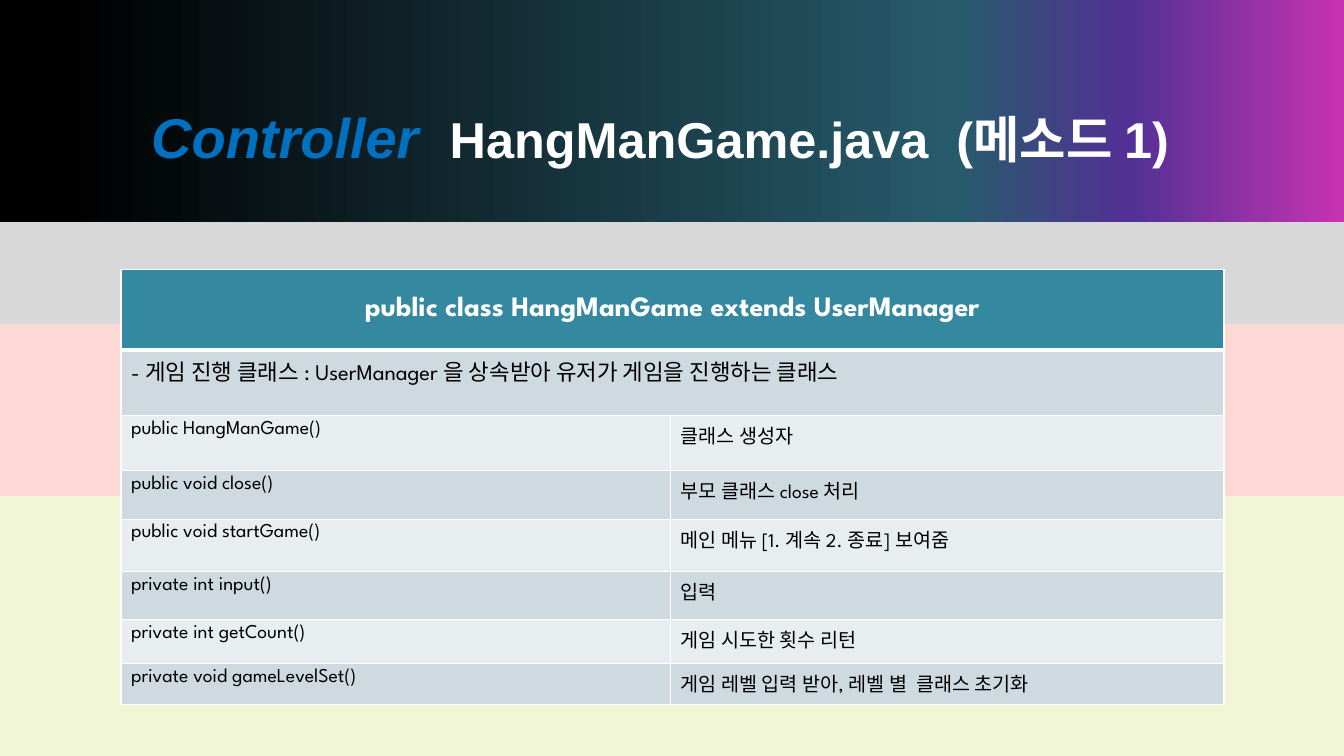
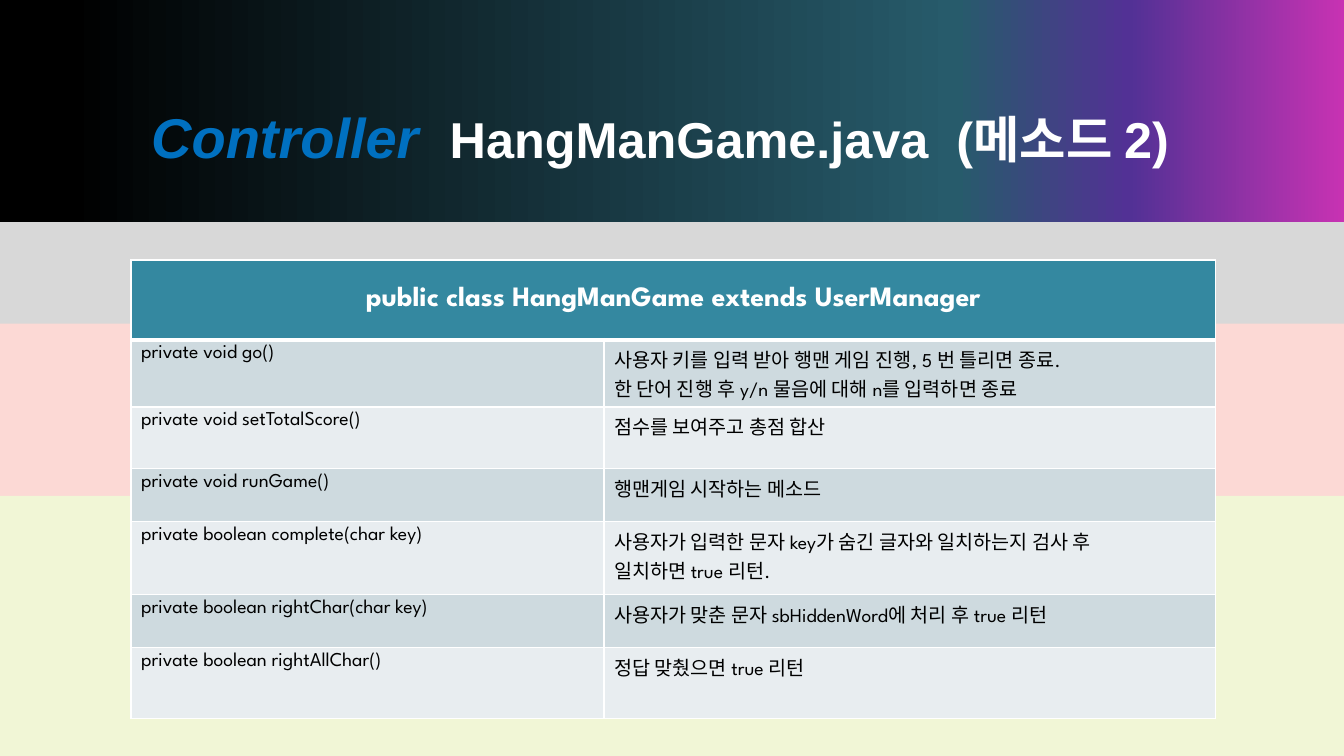
"""Build two slides that list the methods of the HangManGame controller class."""
from dataclasses import dataclass

from lxml.etree import SubElement
from pptx import Presentation
from pptx.dml.color import RGBColor
from pptx.enum.shapes import MSO_SHAPE
from pptx.enum.text import MSO_ANCHOR, MSO_AUTO_SIZE, PP_ALIGN
from pptx.oxml.ns import qn
from pptx.presentation import Presentation as Deck
from pptx.shapes.autoshape import Shape
from pptx.slide import Slide, SlideLayout
from pptx.table import _Cell
from pptx.util import Emu, Pt

PX = 9144
WIDTH, HEIGHT = 1333, 750
TITLE_FONT = "Arial"
TABLE_FONT = "League Spartan"
WHITE = RGBColor(0xFF, 0xFF, 0xFF)
BLACK = RGBColor(0x00, 0x00, 0x00)
BLUE = RGBColor(0x00, 0x70, 0xC0)
GRAY = RGBColor(0xBF, 0xBF, 0xBF)
PINK = RGBColor(0xFC, 0xD9, 0xD5)
LIME = RGBColor(0xF1, 0xF6, 0xD6)
TEAL = RGBColor(0x34, 0x88, 0xA0)
ROW_FILLS = (RGBColor(0xCE, 0xDA, 0xDF), RGBColor(0xE8, 0xED, 0xF0))
BANNER_STOPS = (
    (0, RGBColor(0xC8, 0x32, 0xB3)),
    (16, RGBColor(0x52, 0x31, 0x95)),
    (29, RGBColor(0x27, 0x5B, 0x6B)),
    (95, BLACK),
)
CLASS_HEADING = "public class HangManGame extends UserManager"


@dataclass(frozen=True)
class Box:
    """Position and size in px."""
    left: int
    top: int
    width: int
    height: int

    def emu(self) -> tuple[Emu, Emu, Emu, Emu]:
        """Return the four lengths in EMU."""
        return px(self.left), px(self.top), px(self.width), px(self.height)


@dataclass(frozen=True)
class Row:
    """A table row; a single text spans both columns."""
    height: int
    texts: tuple[str, ...]
    size: int = 14


@dataclass(frozen=True)
class MethodPage:
    """Content of one slide."""
    number: int
    left: int
    top: int
    columns: tuple[int, int]
    rows: tuple[Row, ...]


TITLE_BOX = Box(140, 64, 1054, 150)
BACKDROP = Box(0, 12, WIDTH, 741)
BANNER = Box(0, -3, WIDTH + 1, 223)
BODY_BANDS = ((Box(0, 321, WIDTH, 171), PINK), (Box(0, 492, WIDTH, 258), LIME))

PAGES = (
    MethodPage(1, 120, 267, (545, 549), (
        Row(80, (CLASS_HEADING,), 20),
        Row(65, ("- 게임 진행 클래스 : UserManager 을 상속받아 유저가 게임을 진행하는 클래스",), 16),
        Row(55, ("public HangManGame()", "클래스 생성자")),
        Row(48, ("public void close()", "부모 클래스 close 처리")),
        Row(52, ("public void startGame()", "메인 메뉴 [1. 계속 2. 종료] 보여줌")),
        Row(48, ("private int input()", "입력")),
        Row(43, ("private int getCount()", "게임 시도한 횟수 리턴")),
        Row(41, ("private void gameLevelSet()", "게임 레벨 입력 받아, 레벨 별  클래스 초기화")),
    )),
    MethodPage(2, 130, 258, (469, 607), (
        Row(79, (CLASS_HEADING,), 20),
        Row(61, ("private void go()",
                 "사용자 키를 입력 받아 행맨 게임 진행, 5 번 틀리면 종료.\n"
                 "한 단어 진행 후 y/n 물음에 대해 n를 입력하면 종료")),
        Row(61, ("private void setTotalScore()", "점수를 보여주고 총점 합산")),
        Row(53, ("private void runGame()", "행맨게임 시작하는 메소드")),
        Row(72, ("private boolean complete(char key)",
                 "사용자가 입력한 문자 key가 숨긴 글자와 일치하는지 검사 후\n"
                 "일치하면 true 리턴.")),
        Row(53, ("private boolean rightChar(char key)",
                 "사용자가 맞춘 문자 sbHiddenWord에 처리 후 true 리턴")),
        Row(70, ("private boolean rightAllChar()", "정답 맞췄으면 true 리턴")),
    )),
)


def px(length: int) -> Emu:
    """Turn px into EMU."""
    return Emu(length * PX)


def add_band(slide: Slide, box: Box, color: RGBColor) -> Shape:
    """Draw a plain borderless rectangle."""
    band = slide.shapes.add_shape(MSO_SHAPE.RECTANGLE, *box.emu())
    band.shadow.inherit = False
    band.line.fill.background()
    band.fill.solid()
    band.fill.fore_color.rgb = color
    return band


def set_gradient(band: Shape) -> None:
    """Fill a band with the banner gradient, running from right to left."""
    band.fill.gradient()
    band.fill.gradient_angle = 180
    stops = band._element.spPr.find(".//" + qn("a:gsLst"))
    stops.clear()
    for percent, color in BANNER_STOPS:
        stop = SubElement(stops, qn("a:gs"), pos=str(percent * 1000))
        SubElement(stop, qn("a:srgbClr"), val=str(color))


def style_layout(layout: SlideLayout, slide: Slide) -> None:
    """Move the title placeholder and give the layout its backdrop and banner."""
    title = next(p for p in layout.placeholders if p.placeholder_format.idx == 0)
    title.left, title.top, title.width, title.height = TITLE_BOX.emu()
    backdrop = add_band(slide, BACKDROP, GRAY)
    gray = backdrop._element.spPr.find(".//" + qn("a:srgbClr"))
    SubElement(gray, qn("a:alpha"), val="60000")
    banner = add_band(slide, BANNER, BLACK)
    set_gradient(banner)
    for band in (backdrop, banner):
        layout.shapes._spTree.append(band._element)


def write_title(slide: Slide, number: int) -> None:
    """Write the two-tone title."""
    frame = slide.shapes.title.text_frame
    frame.auto_size = MSO_AUTO_SIZE.NONE
    frame.vertical_anchor = MSO_ANCHOR.MIDDLE
    frame.word_wrap = True
    paragraph = frame.paragraphs[0]
    paragraph.alignment = PP_ALIGN.LEFT
    paragraph.line_spacing = 0.9
    parts = (("Controller  ", 40, BLUE, True),
             (f"HangManGame.java  (메소드 {number})", 36, WHITE, False))
    for text, size, color, italic in parts:
        run = paragraph.add_run()
        run.text = text
        run.font.name = TITLE_FONT
        run.font.size = Pt(size)
        run.font.bold = True
        run.font.italic = italic
        run.font.color.rgb = color


def set_borders(cell: _Cell, top: int, bottom: int) -> None:
    """Give a cell white borders with the given top and bottom widths in points."""
    properties = cell._tc.get_or_add_tcPr()
    for side, width in (("L", 1), ("R", 1), ("T", top), ("B", bottom)):
        line = SubElement(properties, qn(f"a:ln{side}"), w=str(Pt(width)))
        fill = SubElement(line, qn("a:solidFill"))
        SubElement(fill, qn("a:srgbClr"), val=str(WHITE))


def write_cell(cell: _Cell, text: str, size: int, is_heading: bool) -> None:
    """Write and format the text of a cell."""
    cell.text_frame.text = text
    if is_heading:
        cell.vertical_anchor = MSO_ANCHOR.MIDDLE
    for paragraph in cell.text_frame.paragraphs:
        paragraph.alignment = PP_ALIGN.CENTER if is_heading else PP_ALIGN.LEFT
        for run in paragraph.runs:
            run.font.name = TABLE_FONT
            run.font.size = Pt(size)
            run.font.bold = is_heading
            run.font.color.rgb = WHITE if is_heading else BLACK


def add_method_table(slide: Slide, page: MethodPage) -> None:
    """Draw the table of methods."""
    box = Box(page.left, page.top, sum(page.columns), sum(row.height for row in page.rows))
    table = slide.shapes.add_table(len(page.rows), len(page.columns), *box.emu()).table
    for column, width in zip(table.columns, page.columns):
        column.width = px(width)
    for index, row in enumerate(page.rows):
        table.rows[index].height = px(row.height)
        is_heading = index == 0
        cells = list(table.rows[index].cells)
        for cell in cells:
            set_borders(cell, 3 if index == 1 else 1, 3 if is_heading else 1)
            cell.fill.solid()
            cell.fill.fore_color.rgb = TEAL if is_heading else ROW_FILLS[(index - 1) % 2]
        if len(row.texts) == 1:
            cells[0].merge(cells[-1])
        for cell, text in zip(cells, row.texts):
            write_cell(cell, text, row.size, is_heading)


def build() -> Deck:
    """Build the whole presentation."""
    deck = Presentation()
    deck.slide_width, deck.slide_height = px(WIDTH), px(HEIGHT)
    layout = deck.slide_layouts.get_by_name("Title Only")
    for index, page in enumerate(PAGES):
        slide = deck.slides.add_slide(layout)
        if index == 0:
            style_layout(layout, slide)
        write_title(slide, page.number)
        for box, color in BODY_BANDS:
            add_band(slide, box, color)
        add_method_table(slide, page)
    return deck


if __name__ == "__main__":
    build().save("out.pptx")
